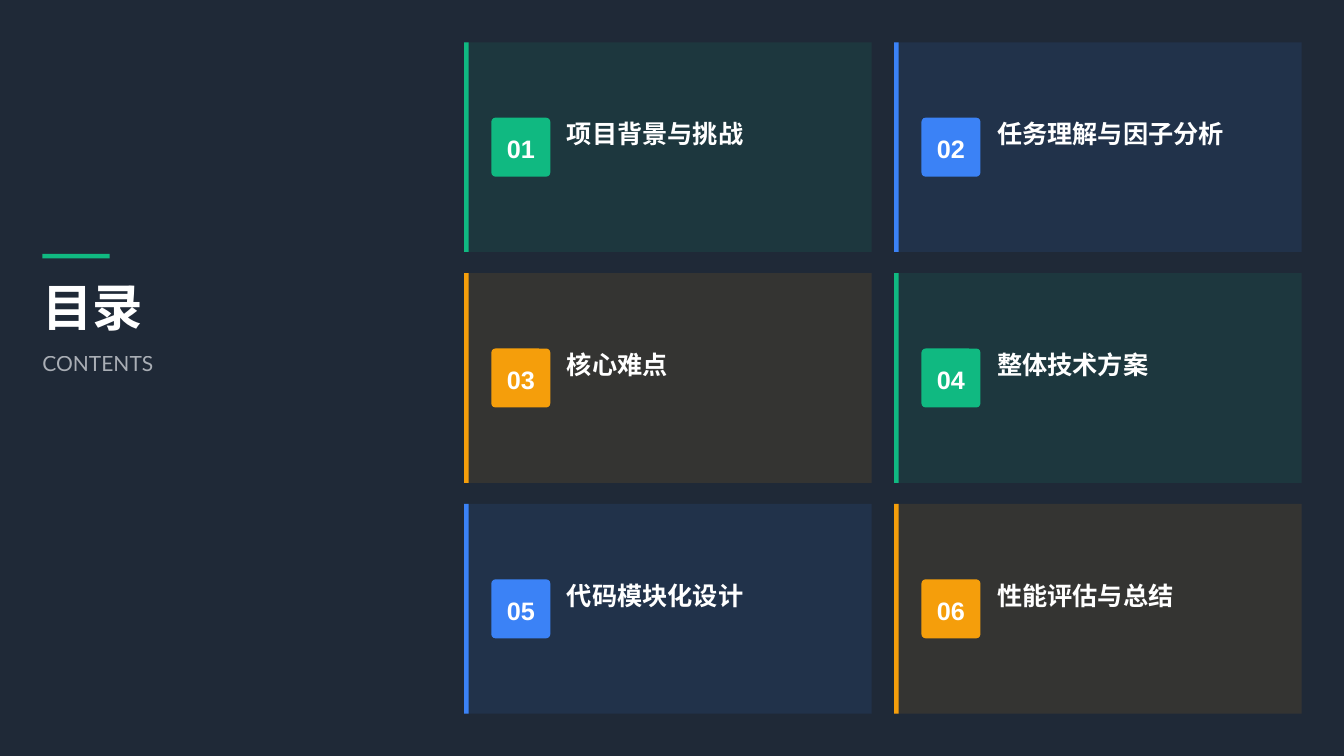
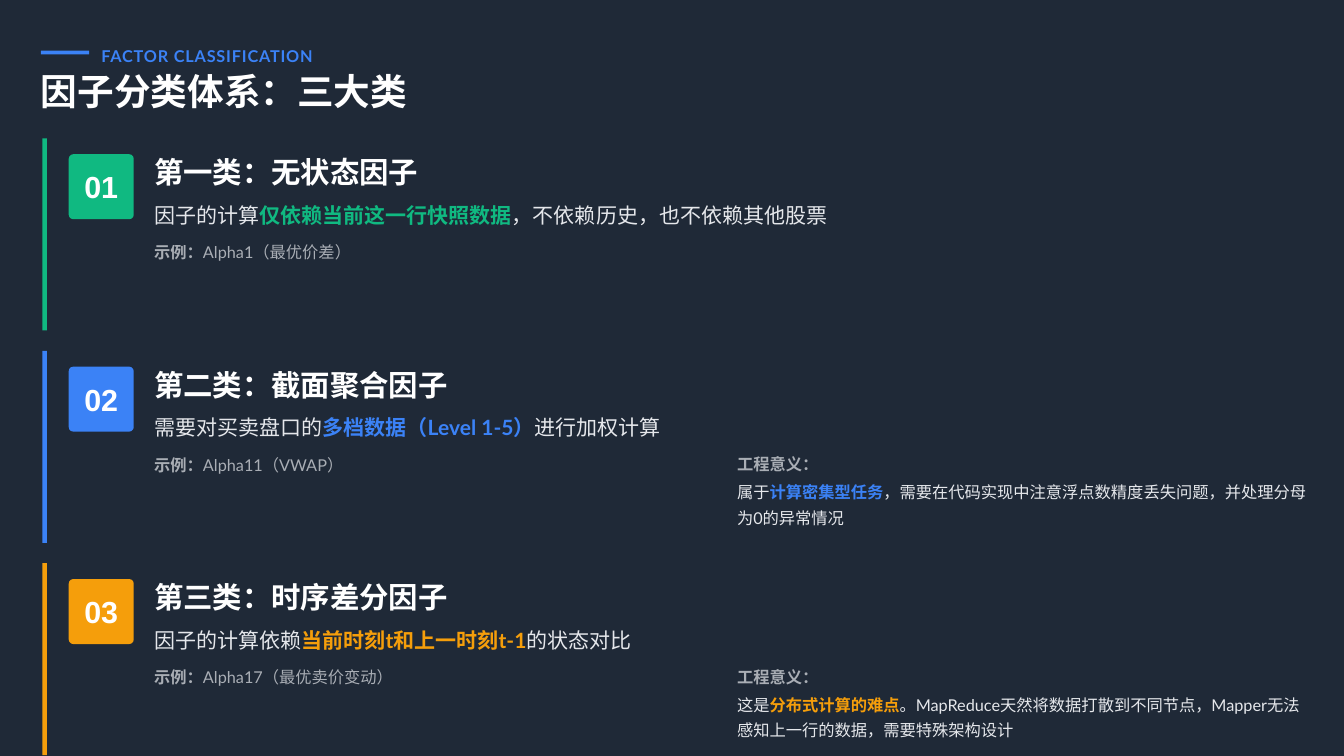
from dataclasses import dataclass

import pptx
import pptx.dml.color
import pptx.enum.shapes
import pptx.enum.text
import pptx.oxml.ns
import pptx.oxml.xmlchemy
import pptx.util
from pptx.util import Inches


@dataclass(frozen=True)
class Theme:
    """Colours, fonts and type sizes shared by the slides."""

    background: str = "1F2937"
    green: str = "10B981"
    blue: str = "3B82F6"
    amber: str = "F59E0B"
    white: str = "FFFFFF"
    body: str = "E5E7EB"
    latin: str = "Lato"
    chinese: str = "Noto Sans CJK SC"
    digits: str = "Arial"
    contents_title: float = 48
    slide_title: float = 34.9
    section_title: float = 28
    section_number: float = 29
    card: float = 24
    text: float = 20
    small: float = 15.5


@dataclass(frozen=True)
class Segment:
    """A stretch of text in one style."""

    text: str
    color: str
    bold: bool = False
    opacity: int = 100


@dataclass(frozen=True)
class Factor:
    """One factor class and its wording."""

    color: str
    title: str
    description: tuple
    example: str
    meaning: tuple = ()


THEME = Theme()
SLIDE_WIDTH, SLIDE_HEIGHT = 17.78, 10
MARGIN = 0.56

TOPICS = (
    ("项目背景与挑战", THEME.green),
    ("任务理解与因子分析", THEME.blue),
    ("核心难点", THEME.amber),
    ("整体技术方案", THEME.green),
    ("代码模块化设计", THEME.blue),
    ("性能评估与总结", THEME.amber),
)

FACTORS = (
    Factor(
        THEME.green,
        "第一类：无状态因子",
        ("因子的计算", "仅依赖当前这一行快照数据", "，不依赖历史，也不依赖其他股票"),
        "Alpha1（最优价差）",
    ),
    Factor(
        THEME.blue,
        "第二类：截面聚合因子",
        ("需要对买卖盘口的", "多档数据（Level 1-5）", "进行加权计算"),
        "Alpha11（VWAP）",
        ("属于", "计算密集型任务", "，需要在代码实现中注意浮点数精度丢失问题，并处理分母为0的异常情况"),
    ),
    Factor(
        THEME.amber,
        "第三类：时序差分因子",
        ("因子的计算依赖", "当前时刻t和上一时刻t-1", "的状态对比"),
        "Alpha17（最优卖价变动）",
        ("这是", "分布式计算的难点", "。MapReduce天然将数据打散到不同节点，Mapper无法感知上一行的数据，需要特殊架构设计"),
    ),
)


def paint(fill, color, element, opacity=100):
    """Give a fill a solid colour, with transparency where asked."""
    fill.solid()
    fill.fore_color.rgb = pptx.dml.color.RGBColor.from_string(color)
    if opacity < 100:
        color_element = next(element.iter(pptx.oxml.ns.qn("a:srgbClr")))
        alpha = pptx.oxml.xmlchemy.OxmlElement("a:alpha")
        alpha.set("val", str(opacity * 1000))
        color_element.append(alpha)


def write(shape, segments, size, font=THEME.latin, spacing=1.0, centred=False, tracking=0):
    """Write one paragraph of styled segments into a shape."""
    text_frame = shape.text_frame
    text_frame.auto_size = pptx.enum.text.MSO_AUTO_SIZE.NONE
    text_frame.word_wrap = True
    text_frame.vertical_anchor = pptx.enum.text.MSO_ANCHOR.MIDDLE
    text_frame.margin_left = text_frame.margin_right = 0
    text_frame.margin_top = text_frame.margin_bottom = 0
    paragraph = text_frame.paragraphs[0]
    align = pptx.enum.text.PP_ALIGN
    paragraph.alignment = align.CENTER if centred else align.LEFT
    paragraph.line_spacing = spacing
    for segment in segments:
        run = paragraph.add_run()
        run.text = segment.text
        run.font.size = pptx.util.Pt(size)
        run.font.bold = segment.bold
        paint(run.font.fill, segment.color, run._r, segment.opacity)
        run.font.name = font
        properties = run._r.get_or_add_rPr()
        east_asian = pptx.oxml.xmlchemy.OxmlElement("a:ea")
        east_asian.set("typeface", THEME.chinese)
        properties.find(pptx.oxml.ns.qn("a:latin")).addnext(east_asian)
        if tracking:
            properties.set("spc", str(round(tracking * 100)))


def add_text(slide, left, top, width, height, segments, size, **style):
    """Add a text box."""
    box = slide.shapes.add_textbox(Inches(left), Inches(top), Inches(width), Inches(height))
    write(box, segments, size, **style)


def add_title(slide, left, top, width, height, text, size, spacing=1.0):
    """Place and format the title placeholder."""
    title = slide.shapes.title
    title.left, title.top = Inches(left), Inches(top)
    title.width, title.height = Inches(width), Inches(height)
    write(title, [Segment(text, THEME.white, True)], size, THEME.chinese, spacing)


def add_block(slide, left, top, width, height, color, opacity=100, rounded=False):
    """Add a plain filled rectangle."""
    kinds = pptx.enum.shapes.MSO_SHAPE
    kind = kinds.ROUNDED_RECTANGLE if rounded else kinds.RECTANGLE
    shape = slide.shapes.add_shape(kind, Inches(left), Inches(top), Inches(width), Inches(height))
    shape.shadow.inherit = False
    shape.line.fill.background()
    paint(shape.fill, color, shape.element, opacity)
    if rounded:
        shape.adjustments[0] = 0.07
    return shape


def add_badge(slide, left, top, side, number, color, size, spacing=1.0):
    """Add a rounded square with a two-digit number."""
    badge = add_block(slide, left, top, side, side, color, rounded=True)
    label = Segment(f"{number:02d}", THEME.white, True)
    write(badge, [label], size, THEME.digits, spacing, centred=True)


def add_card(slide, left, top, width, height, number, topic, color):
    """Add one contents card."""
    badge_side = 0.78
    badge_top = top + (height - badge_side) / 2
    add_block(slide, left, top, width, height, color, opacity=10)
    add_block(slide, left, top, 0.06, height, color)
    add_badge(slide, left + 0.36, badge_top, badge_side, number, color, THEME.card, 1.1)
    add_text(slide, left + 1.36, badge_top - 0.03, 3.69, 0.44,
             [Segment(topic, THEME.white, True)], THEME.card, spacing=1.1)


def highlight(parts, color):
    """Turn a before, emphasis, after triple into segments."""
    before, emphasis, after = parts
    return [Segment(before, THEME.body), Segment(emphasis, color, True), Segment(after, THEME.body)]


def add_factor(slide, top, number, factor):
    """Add one factor section."""
    text_left, meaning_left = 2.04, 9.75
    add_block(slide, MARGIN, top, 0.06, 2.54, factor.color)
    add_badge(slide, 0.91, top + 0.21, 0.86, number, factor.color, THEME.section_number)
    add_text(slide, text_left, top + 0.21, 15.36, 0.43,
             [Segment(factor.title, THEME.white, True)], THEME.section_title, spacing=1.1)
    add_text(slide, text_left, top + 0.75, 15.32, 0.39,
             highlight(factor.description, factor.color), THEME.text, spacing=1.4)
    example = [Segment("示例：", THEME.body, True, 70), Segment(factor.example, THEME.body, False, 70)]
    add_text(slide, text_left, top + 1.31, 7.59, 0.32, example, THEME.small, spacing=1.3)
    if factor.meaning:
        add_text(slide, meaning_left, top + 1.32, 1.18, 0.29,
                 [Segment("工程意义：", THEME.body, True, 70)], THEME.small, spacing=1.3)
        add_text(slide, meaning_left, top + 1.68, 7.59, 0.64,
                 highlight(factor.meaning, factor.color), THEME.small, spacing=1.3)


def build_contents(slide):
    """Build the contents slide."""
    add_block(slide, MARGIN, 3.36, 0.89, 0.06, THEME.green)
    add_title(slide, MARGIN, 3.64, 5.44, 0.83, "目录", THEME.contents_title)
    add_text(slide, MARGIN, 4.58, 5.25, 0.39,
             [Segment("CONTENTS", THEME.body, False, 70)], THEME.text, spacing=1.2)
    columns, rows = 2, 3
    grid_left, column_gap, row_gap = 6.14, 0.3, 0.28
    width = (SLIDE_WIDTH - MARGIN - grid_left - column_gap * (columns - 1)) / columns
    height = (SLIDE_HEIGHT - 2 * MARGIN - row_gap * (rows - 1)) / rows
    for index, (topic, color) in enumerate(TOPICS):
        row, column = divmod(index, columns)
        left = grid_left + column * (width + column_gap)
        top = MARGIN + row * (height + row_gap)
        add_card(slide, left, top, width, height, index + 1, topic, color)


def build_factors(slide):
    """Build the factor classification slide."""
    add_block(slide, 0.54, 0.67, 0.64, 0.05, THEME.blue)
    add_text(slide, 1.34, 0.54, 2.93, 0.32,
             [Segment("FACTOR CLASSIFICATION", THEME.blue, True)],
             THEME.small, spacing=1.3, tracking=0.8)
    add_title(slide, 0.54, 0.97, 16.94, 0.54, "因子分类体系：三大类", THEME.slide_title, 0.9)
    for index, factor in enumerate(FACTORS):
        add_factor(slide, 1.83 + index * 2.81, index + 1, factor)


def main():
    """Build and save the presentation."""
    presentation = pptx.Presentation()
    presentation.slide_width = Inches(SLIDE_WIDTH)
    presentation.slide_height = Inches(SLIDE_HEIGHT)
    master = presentation.slide_master
    paint(master.background.fill, THEME.background, master.element)
    title_only = presentation.slide_layouts.get_by_name("Title Only")
    for build in (build_contents, build_factors):
        build(presentation.slides.add_slide(title_only))
    presentation.save("out.pptx")


if __name__ == "__main__":
    main()
